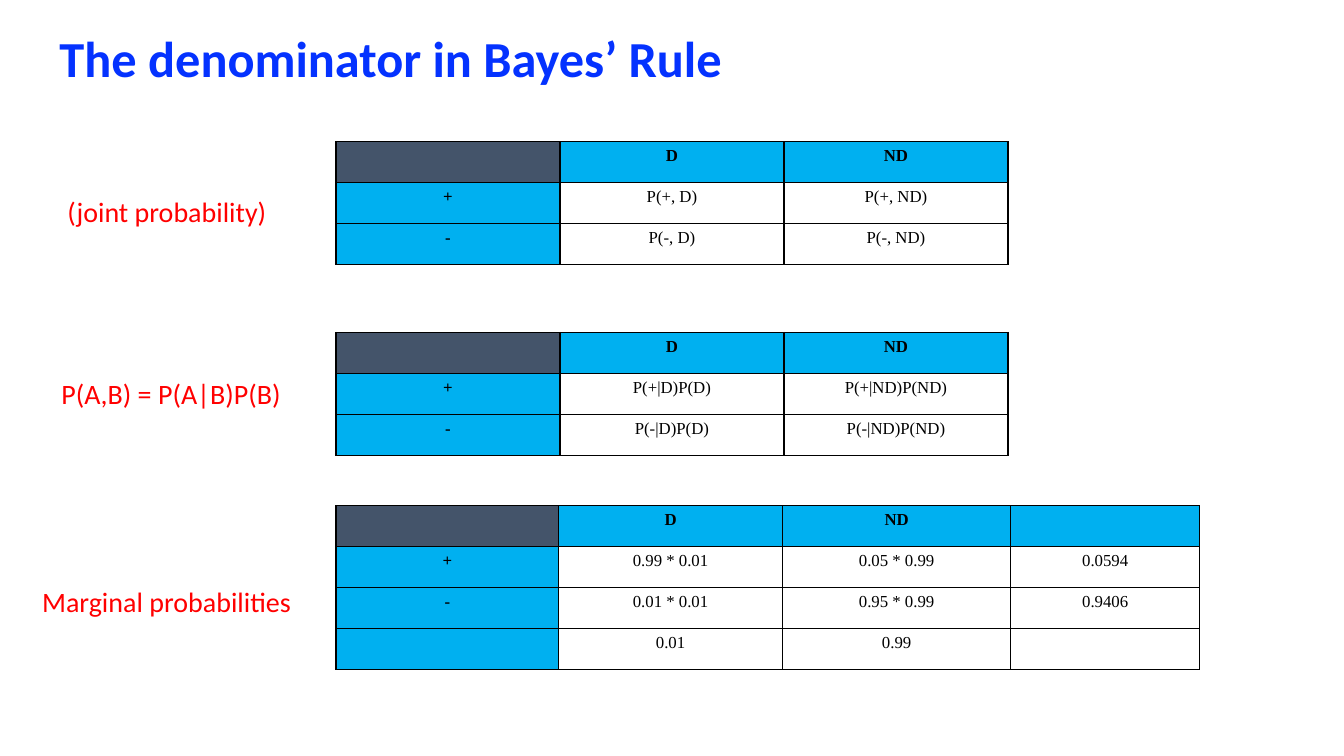
"""Build a slide with three probability tables that explain the denominator in Bayes' rule."""
import pptx
import pptx.dml.color
import pptx.enum.text
import pptx.oxml
import pptx.oxml.ns
import pptx.util

Pt = pptx.util.Pt
RGBColor = pptx.dml.color.RGBColor
BLUE = RGBColor(0x04, 0x32, 0xFF)
RED = RGBColor(0xFF, 0x00, 0x00)
BLACK = RGBColor(0x00, 0x00, 0x00)
SLATE = RGBColor(0x44, 0x54, 0x6A)
SKY = RGBColor(0x00, 0xB0, 0xF0)
ROW_HEIGHT = 29.25
TABLE_LEFT = 240


def set_font(para, name, size, color, bold=False):
    para.font.name = name
    para.font.size = Pt(size)
    para.font.color.rgb = color
    para.font.bold = bold


def add_borders(cell):
    properties = cell._tc.get_or_add_tcPr()
    for position, side in enumerate(("lnL", "lnR", "lnT", "lnB")):
        border = pptx.oxml.parse_xml(
            f'<a:{side} {pptx.oxml.ns.nsdecls("a")} w="12700"><a:solidFill>'
            f'<a:srgbClr val="{BLACK}"/></a:solidFill></a:{side}>')
        properties.insert(position, border)


deck = pptx.Presentation()
deck.slide_width = Pt(960)
deck.slide_height = Pt(540)
page = deck.slides.add_slide(deck.slide_layouts[5])

title = page.shapes.title
title.left, title.top, title.width, title.height = Pt(35.3), Pt(10.8), Pt(890), Pt(65.5)
title.text_frame.text = "The denominator in Bayes’ Rule"
title.text_frame.vertical_anchor = pptx.enum.text.MSO_ANCHOR.MIDDLE
para = title.text_frame.paragraphs[0]
para.alignment = pptx.enum.text.PP_ALIGN.LEFT
para.line_spacing = 0.9
set_font(para, "Calibri", 36, BLUE, True)

tables = [
    (101.2, [160, 160, 160], [
        ["", "D", "ND"],
        ["+", "P(+, D)", "P(+, ND)"],
        ["-", "P(-, D)", "P(-, ND)"]]),
    (237.5, [160, 160, 160], [
        ["", "D", "ND"],
        ["+", "P(+|D)P(D)", "P(+|ND)P(ND)"],
        ["-", "P(-|D)P(D)", "P(-|ND)P(ND)"]]),
    (361.2, [159, 160, 163, 135], [
        ["", "D", "ND", ""],
        ["+", "0.99 * 0.01", "0.05 * 0.99", "0.0594"],
        ["-", "0.01 * 0.01", "0.95 * 0.99", "0.9406"],
        ["", "0.01", "0.99", ""]]),
]
for top, widths, rows in tables:
    frame = page.shapes.add_table(len(rows), len(widths), Pt(TABLE_LEFT), Pt(top),
                                  Pt(sum(widths)), Pt(ROW_HEIGHT * len(rows)))
    table = frame.table
    table.first_row = False
    table.horz_banding = False
    for column, width in zip(table.columns, widths):
        column.width = Pt(width)
    for row_index, row in enumerate(rows):
        table.rows[row_index].height = Pt(ROW_HEIGHT)
        for column_index, text in enumerate(row):
            cell = table.cell(row_index, column_index)
            is_header = row_index == 0 or column_index == 0
            if is_header:
                cell.fill.solid()
                cell.fill.fore_color.rgb = SKY if row_index or column_index else SLATE
            else:
                cell.fill.background()
            add_borders(cell)
            cell.text = text
            para = cell.text_frame.paragraphs[0]
            para.alignment = pptx.enum.text.PP_ALIGN.CENTER
            set_font(para, "Times New Roman", 12, BLACK, is_header)

labels = [
    (41, 135.4, 158.4, "(joint probability)"),
    (36.7, 265.7, 173.5, "P(A,B) = P(A|B)P(B)"),
    (23, 414, 194.4, "Marginal probabilities"),
]
for left, top, width, text in labels:
    box = page.shapes.add_textbox(Pt(left), Pt(top), Pt(width), Pt(31.5))
    box.text_frame.word_wrap = False
    box.text_frame.auto_size = pptx.enum.text.MSO_AUTO_SIZE.SHAPE_TO_FIT_TEXT
    box.text_frame.text = text
    set_font(box.text_frame.paragraphs[0], "Calibri", 20, RED)

deck.save("out.pptx")
